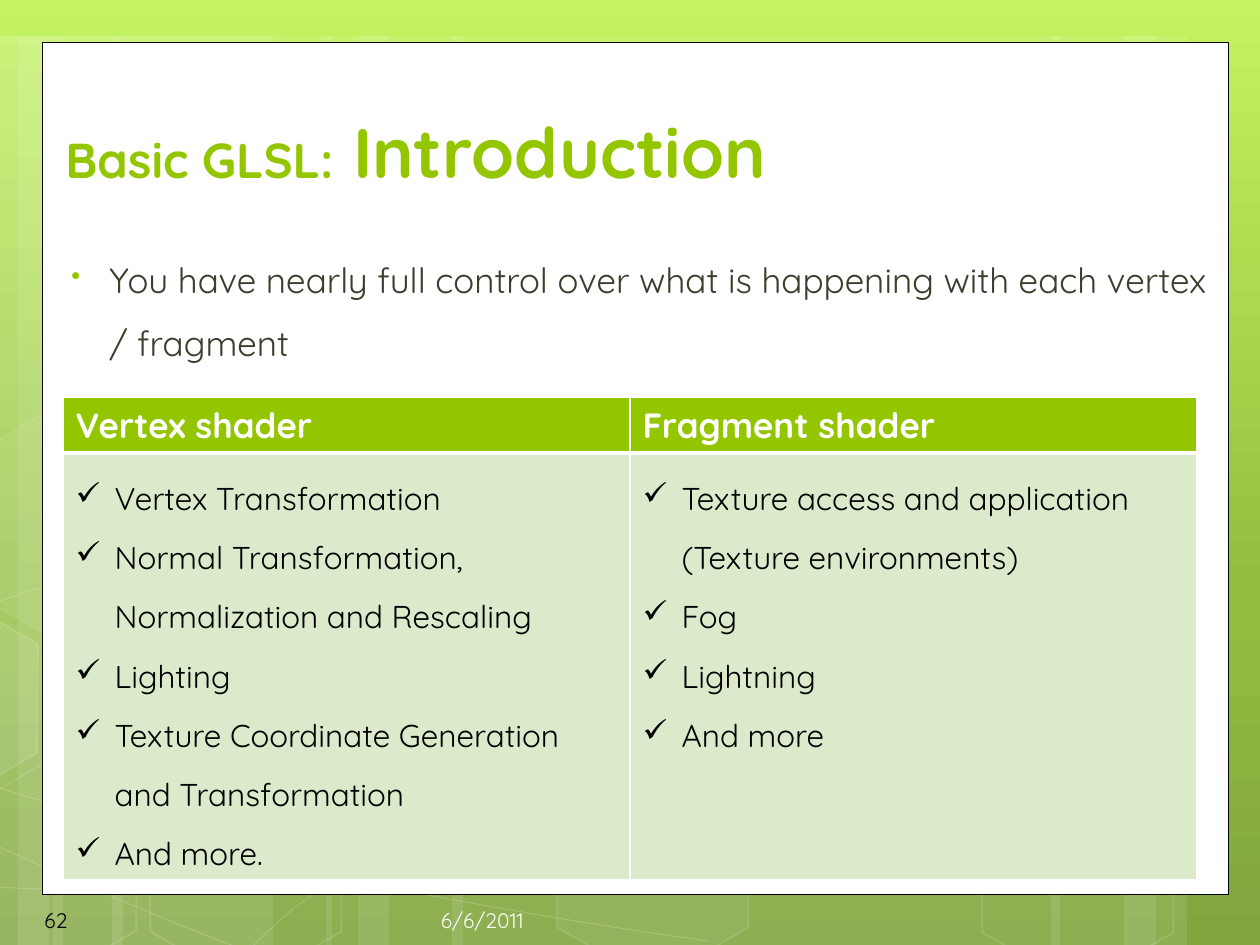
"""Build the GLSL introduction slide."""
from copy import deepcopy
from pptx import Presentation
from pptx.dml.color import RGBColor
from pptx.enum.shapes import MSO_SHAPE
from pptx.enum.text import MSO_ANCHOR, PP_ALIGN
from pptx.oxml import parse_xml
from pptx.oxml.ns import nsdecls, qn
from pptx.oxml.xmlchemy import OxmlElement
from pptx.util import Pt

PX = 914400 / 126
WIDE, HIGH = 1260, 945
FACE = "Quicksand"
WHITE = RGBColor(0xFF, 0xFF, 0xFF)
BLACK = RGBColor(0, 0, 0)
LIME = RGBColor(0x94, 0xC6, 0x00)
OLIVE = RGBColor(0x3E, 0x3D, 0x2D)
PALE = RGBColor(0xDC, 0xEA, 0xCC)
MIST = RGBColor(0xFE, 0xFE, 0xFE)
STOPS = [(0, RGBColor(0xC3, 0xF3, 0x5F)), (0.62, RGBColor(0x93, 0xBF, 0x3F)),
         (1, RGBColor(0x81, 0xA5, 0x3E))]

TITLE = [("Basic GLSL:", 28), (" Introduction", 40)]
POINT = "You have nearly full control over what is happening with each vertex / fragment"
TABLE = {
    "Vertex shader": [
        "Vertex Transformation",
        "Normal Transformation, Normalization and Rescaling",
        "Lighting",
        "Texture Coordinate Generation and Transformation",
        "And more.",
    ],
    "Fragment shader": [
        "Texture access and application (Texture environments)",
        "Fog",
        "Lightning",
        "And more",
    ],
}
STRIPES = [(53, 220), (-42, 105), (112, 220), (-14, 63), (18, 105), (840, 220),
           (1124, 63), (1051, 105), (452, 388), (326, 63), (358, 105)]
CURVES = [
    [(-74, 883), (-6, 887), (62, 892), (156, 890)],
    [(-74, 636), (-38, 617), (-1, 597), (69, 580)],
    [(-76, 813), (77, 882), (228, 951), (338, 980)],
    [(-74, 764), (-35, 777), (5, 791), (78, 811), (151, 832), (261, 862),
     (365, 883), (471, 904), (604, 927), (708, 941)],
    [(222, 980), (244, 955), (267, 930), (297, 906), (328, 883), (370, 858),
     (406, 840)],
]
HEXES = [(543, 777, 6, 12), (-69, 780, 0, 12), (-66, 428, 7, 8),
         (136, 781, 0, 12), (968, 782, 0, 12)]
SHARD = [(-73, 596), (-59, 588), (38, 644), (37, 753), (-58, 809), (-73, 801)]


def emu(*nums):
    return [round(n * PX) for n in nums]


def fade(root, pct):
    tint = OxmlElement("a:alpha")
    tint.set("val", str(pct * 1000))
    root.find(".//" + qn("a:srgbClr")).append(tint)


def paint(shape, fill=0, edge=0, width=1):
    shape.shadow.inherit = False
    if fill:
        shape.fill.solid()
        shape.fill.fore_color.rgb = WHITE
        fade(shape.fill._xPr.find(qn("a:solidFill")), fill)
    else:
        shape.fill.background()
    if edge:
        shape.line.color.rgb = WHITE
        shape.line.width = Pt(width)
        fade(shape.line._ln, edge)
    else:
        shape.line.fill.background()


def trace(slide, points, close):
    dots = [emu(*p) for p in points]
    pen = slide.shapes.build_freeform(*dots[0], scale=1.0)
    pen.add_line_segments(dots[1:], close=close)
    return pen.convert_to_shape()


def bend(knots, steps=12):
    path = [knots[0]]
    for i in range(0, len(knots) - 1, 3):
        quad = knots[i:i + 4]
        for k in range(1, steps + 1):
            t = k / steps
            load = ((1 - t) ** 3, 3 * t * (1 - t) ** 2, 3 * t * t * (1 - t), t ** 3)
            path.append(tuple(sum(w * p[a] for w, p in zip(load, quad)) for a in (0, 1)))
    return path


def write(frame, paras, color=BLACK, size=18, bold=False, space=None, align=None,
          mark=None, left=0, hang=0, tint=None, scale=None):
    for i, runs in enumerate(paras):
        para = frame.paragraphs[0] if i == 0 else frame.add_paragraph()
        if mark:
            props = para._p.get_or_add_pPr()
            props.set("marL", str(emu(left)[0]))
            props.set("indent", str(emu(-hang)[0]))
            if tint:
                props.append(parse_xml(f'<a:buClr {nsdecls("a")}><a:srgbClr val="{tint}"/></a:buClr>'))
            if scale:
                props.append(parse_xml(f'<a:buSzPct {nsdecls("a")} val="{scale * 1000}"/>'))
            props.append(parse_xml(f'<a:buChar {nsdecls("a")} char="{mark}"/>'))
        if space:
            para.line_spacing = space
        if align is not None:
            para.alignment = align
        for words, pts in [(runs, size)] if isinstance(runs, str) else runs:
            run = para.add_run()
            run.text = words
            run.font.name, run.font.size, run.font.bold = FACE, Pt(pts), bold
            run.font.color.rgb = color


def label(slide, at, paras, anchor=MSO_ANCHOR.TOP, **form):
    frame = slide.shapes.add_textbox(*emu(*at)).text_frame
    frame.word_wrap = True
    frame.vertical_anchor = anchor
    write(frame, paras, **form)


def rule(cell, **sides):
    props = cell._tc.get_or_add_tcPr()
    for i, (side, pts) in enumerate(sides.items()):
        props.insert(i, parse_xml(
            f'<a:ln{side} {nsdecls("a")} w="{pts * 12700}"><a:solidFill>'
            f'<a:srgbClr val="{WHITE}"/></a:solidFill></a:ln{side}>'))


def backdrop(slide):
    fill = slide.background.fill
    fill.gradient()
    fill.gradient_angle = 270
    first = slide.element.find(".//" + qn("a:gs"))
    first.addnext(deepcopy(first))
    for stop, (place, color) in zip(fill.gradient_stops, STOPS):
        stop.position = place
        stop.color.rgb = color
    add = slide.shapes.add_shape
    for x, w in STRIPES:
        paint(add(MSO_SHAPE.RECTANGLE, *emu(x, 36, w, HIGH - 36)), fill=10)
    for knots in CURVES:
        paint(trace(slide, bend(knots), False), edge=20, width=0.5)
    for x, y, fill, edge in HEXES:
        tile = add(MSO_SHAPE.HEXAGON, *emu(x, y, 220, 191))
        tile.adjustments[0] = 0.285
        tile.rotation = 30
        paint(tile, fill, edge)
    paint(trace(slide, SHARD, True), 10, 12)
    panel = add(MSO_SHAPE.RECTANGLE, *emu(42, 42, 1187, 852))
    paint(panel, fill=100)
    panel.line.color.rgb = BLACK
    panel.line.width = Pt(0.5)


def grid(slide):
    table = slide.shapes.add_table(2, len(TABLE), *emu(63, 397, 1134, 483)).table
    table.rows[0].height, table.rows[1].height = emu(56, 427)
    for col, (head, items) in enumerate(TABLE.items()):
        top, low = table.cell(0, col), table.cell(1, col)
        for cell, color in ((top, LIME), (low, PALE)):
            cell.fill.solid()
            cell.fill.fore_color.rgb = color
        rule(top, L=1, R=1, T=1, B=3)
        rule(low, L=1, R=1, T=3, B=1)
        write(top.text_frame, [head], color=WHITE, size=20, bold=True)
        write(low.text_frame, items, space=1.5, mark="✓", left=39, hang=39)


def main():
    deck = Presentation()
    deck.slide_width, deck.slide_height = emu(WIDE, HIGH)
    slide = deck.slides.add_slide(deck.slide_layouts[6])
    backdrop(slide)
    label(slide, (53, 42, 1166, 157), [TITLE], anchor=MSO_ANCHOR.BOTTOM,
          color=LIME, bold=True, space=1.5)
    label(slide, (32, 895, 184, 50), ["62"], anchor=MSO_ANCHOR.MIDDLE, size=12)
    label(slide, (49, 231, 1173, 160), [POINT], color=OLIVE, size=20, space=1.5,
          mark="•", left=48, hang=38, tint=LIME, scale=76)
    grid(slide)
    label(slide, (242, 895, 294, 50), ["6/6/2011"], anchor=MSO_ANCHOR.MIDDLE,
          color=MIST, size=12, align=PP_ALIGN.RIGHT)
    deck.save("out.pptx")


if __name__ == "__main__":
    main()
